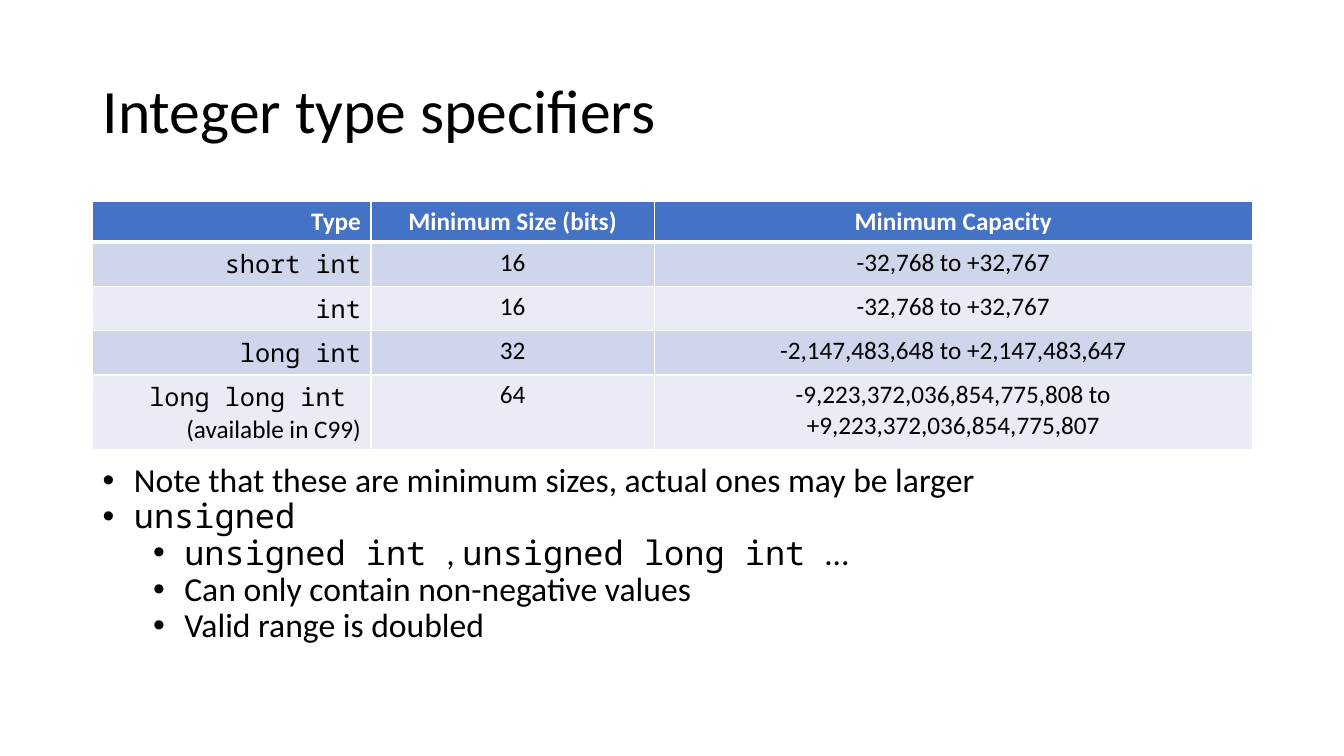
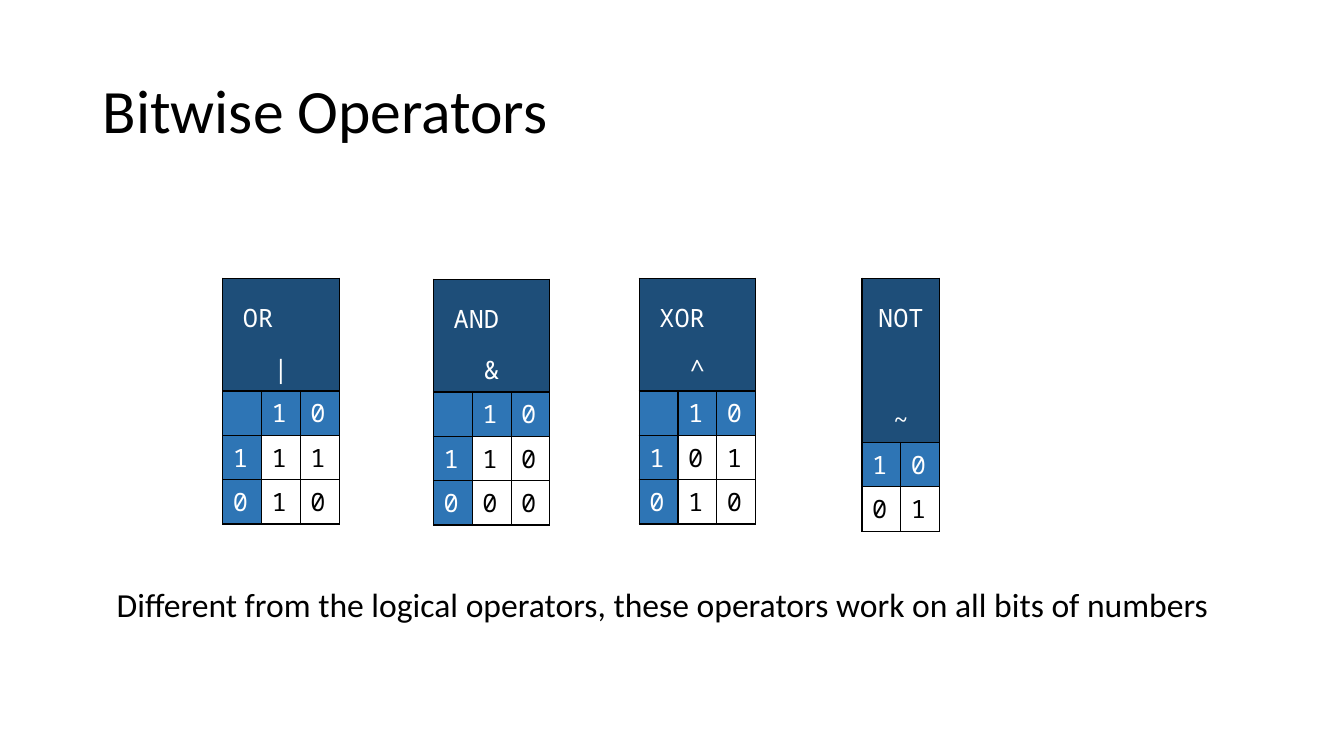
from lxml.etree import SubElement
from pptx import Presentation
from pptx.dml.color import RGBColor
from pptx.enum.text import MSO_ANCHOR, PP_ALIGN
from pptx.oxml import parse_xml
from pptx.oxml.ns import nsdecls, qn
from pptx.util import Inches, Pt

BLACK = RGBColor(0x00, 0x00, 0x00)
WHITE = RGBColor(0xFF, 0xFF, 0xFF)
HEADER_BLUE = RGBColor(0x44, 0x72, 0xC4)
BAND_DARK = RGBColor(0xCF, 0xD5, 0xEA)
BAND_LIGHT = RGBColor(0xE9, 0xEB, 0xF5)
OPERATOR_NAVY = RGBColor(0x1E, 0x4E, 0x79)
OPERAND_BLUE = RGBColor(0x2E, 0x75, 0xB5)
SANS = "Calibri"
MONO = "Noto Sans Mono"

ROW_HEIGHT = 0.44
TYPE_COLUMNS = [2.76, 2.81, 5.93]
TYPE_HEIGHTS = [0.4, *[ROW_HEIGHT] * 3, 0.74]
TYPE_HEADINGS = ["Type", "Minimum Size (bits)", "Minimum Capacity"]
TYPE_ROWS = [
    ("short int", "16", "-32,768 to +32,767"),
    ("int", "16", "-32,768 to +32,767"),
    ("long int", "32", "-2,147,483,648 to +2,147,483,647"),
    ("long long int ", "64",
     "-9,223,372,036,854,775,808 to +9,223,372,036,854,775,807"),
]
NOTES = [
    (0, [("Note that these are minimum sizes, actual ones may be larger", SANS)]),
    (0, [("unsigned", MONO)]),
    (1, [("unsigned int ", MONO), (", ", SANS),
         ("unsigned long int ", MONO), ("…", SANS)]),
    (1, [("Can only contain non-negative values", SANS)]),
    (1, [("Valid range is doubled", SANS)]),
]
BINARY_OPERATORS = [
    ("OR", "|", 2.21, 2.76, [" 10", "111", "010"]),
    ("AND", "&", 4.3, 2.77, [" 10", "110", "000"]),
    ("XOR", "^", 6.34, 2.76, [" 10", "101", "010"]),
]


def add_text(paragraph, text, font=SANS, size=18, color=BLACK, bold=False,
             align=PP_ALIGN.LEFT, spacing=None, before=0, indent=0):
    paragraph.alignment = align
    paragraph.space_before = Pt(before)
    if spacing:
        paragraph.line_spacing = spacing
    if indent:
        paragraph._p.get_or_add_pPr().set("marL", str(Inches(indent)))
    run = paragraph.add_run()
    run.text = text
    run.font.name = font
    run.font.size = Pt(size)
    run.font.bold = bold
    run.font.color.rgb = color


def add_box(slide, left, top, width, height, anchor=MSO_ANCHOR.TOP):
    shape = slide.shapes.add_textbox(
        Inches(left), Inches(top), Inches(width), Inches(height))
    shape.text_frame.word_wrap = True
    shape.text_frame.vertical_anchor = anchor
    return shape.text_frame


def add_titled_slide(presentation, title):
    slide = presentation.slides.add_slide(presentation.slide_layouts[6])
    frame = add_box(slide, 0.92, 0.4, 11.5, 1.45, MSO_ANCHOR.MIDDLE)
    add_text(frame.paragraphs[0], title, size=44, spacing=0.9)
    return slide


def set_bullet(paragraph, level):
    paragraph.level = level
    properties = paragraph._p.get_or_add_pPr()
    properties.set("marL", str(Inches(0.31 + 0.5 * level)))
    properties.set("indent", str(Inches(-0.31)))
    SubElement(properties, qn("a:buFont")).set("typeface", "Arial")
    SubElement(properties, qn("a:buChar")).set("char", "•")


def add_bullets(frame, items):
    for index, (level, runs) in enumerate(items):
        paragraph = frame.add_paragraph() if index else frame.paragraphs[0]
        set_bullet(paragraph, level)
        for text, font in runs:
            add_text(paragraph, text, font=font, size=24, spacing=0.9)


def add_grid(slide, left, top, columns, heights):
    table = slide.shapes.add_table(
        len(heights), len(columns), Inches(left), Inches(top),
        Inches(sum(columns)), Inches(sum(heights))).table
    table.first_row = False
    table.horz_banding = False
    for column, width in zip(table.columns, columns):
        column.width = Inches(width)
    for row, height in zip(table.rows, heights):
        row.height = Inches(height)
    return table


def style_cell(cell, fill, border, bottom=1):
    if fill is None:
        cell.fill.background()
    else:
        cell.fill.solid()
        cell.fill.fore_color.rgb = fill
    properties = cell._tc.get_or_add_tcPr()
    for index, side in enumerate("LRTB"):
        width = Pt(bottom if side == "B" else 1)
        properties.insert(index, parse_xml(
            f'<a:ln{side} {nsdecls("a")} w="{width}"><a:solidFill>'
            f'<a:srgbClr val="{border}"/></a:solidFill></a:ln{side}>'))


def add_type_table(slide):
    table = add_grid(slide, 0.92, 2, TYPE_COLUMNS, TYPE_HEIGHTS)
    for row, values in enumerate([TYPE_HEADINGS, *TYPE_ROWS]):
        heading = row == 0
        band = BAND_DARK if row % 2 else BAND_LIGHT
        for column, value in enumerate(values):
            cell = table.cell(row, column)
            style_cell(cell, HEADER_BLUE if heading else band, WHITE,
                       bottom=3 if heading else 1)
            add_text(cell.text_frame.paragraphs[0], value,
                     font=SANS if heading or column else MONO,
                     color=WHITE if heading else BLACK, bold=heading,
                     align=PP_ALIGN.CENTER if column else PP_ALIGN.RIGHT)
    add_text(table.cell(len(TYPE_ROWS), 0).text_frame.add_paragraph(),
             "(available in C99)", align=PP_ALIGN.RIGHT)


def add_truth_table(slide, name, symbol, left, top, grid, header_height=1.12,
                    align=PP_ALIGN.LEFT, indent=0.1, gap=0):
    count = len(grid[0])
    table = add_grid(slide, left, top, [0.385] * count,
                     [header_height, *[ROW_HEIGHT] * len(grid)])
    for column in range(count):
        style_cell(table.cell(0, column), OPERATOR_NAVY, BLACK)
    header = table.cell(0, 0)
    header.merge(table.cell(0, count - 1))
    add_text(header.text_frame.paragraphs[0], name, font=MONO, color=WHITE,
             align=align, spacing=1.5, indent=indent)
    add_text(header.text_frame.add_paragraph(), symbol, font=MONO, color=WHITE,
             align=PP_ALIGN.CENTER, spacing=1.5, before=gap)
    for row, values in enumerate(grid, 1):
        for column, value in enumerate(values):
            operand = row == 1 or (count == 3 and column == 0)
            cell = table.cell(row, column)
            style_cell(cell, OPERAND_BLUE if operand else None, BLACK)
            if value.strip():
                add_text(cell.text_frame.paragraphs[0], value, font=MONO,
                         color=WHITE if operand else BLACK)


def main():
    presentation = Presentation()
    presentation.slide_width = Inches(13.33)
    presentation.slide_height = Inches(7.5)

    slide = add_titled_slide(presentation, "Integer type specifiers")
    add_bullets(add_box(slide, 0.92, 4.55, 11.5, 2.2), NOTES)
    add_type_table(slide)

    slide = add_titled_slide(presentation, "Bitwise Operators")
    for operator in BINARY_OPERATORS:
        add_truth_table(slide, *operator)
    add_truth_table(slide, "NOT", "~", 8.55, 2.76, ["10", "01"],
                    header_height=1.63, align=PP_ALIGN.CENTER, indent=0, gap=36)
    frame = add_box(slide, 1.06, 5.74, 11.36, 0.5)
    add_text(frame.paragraphs[0], "Different from the logical operators, "
             "these operators work on all bits of numbers", size=24)

    presentation.save("out.pptx")


main()
